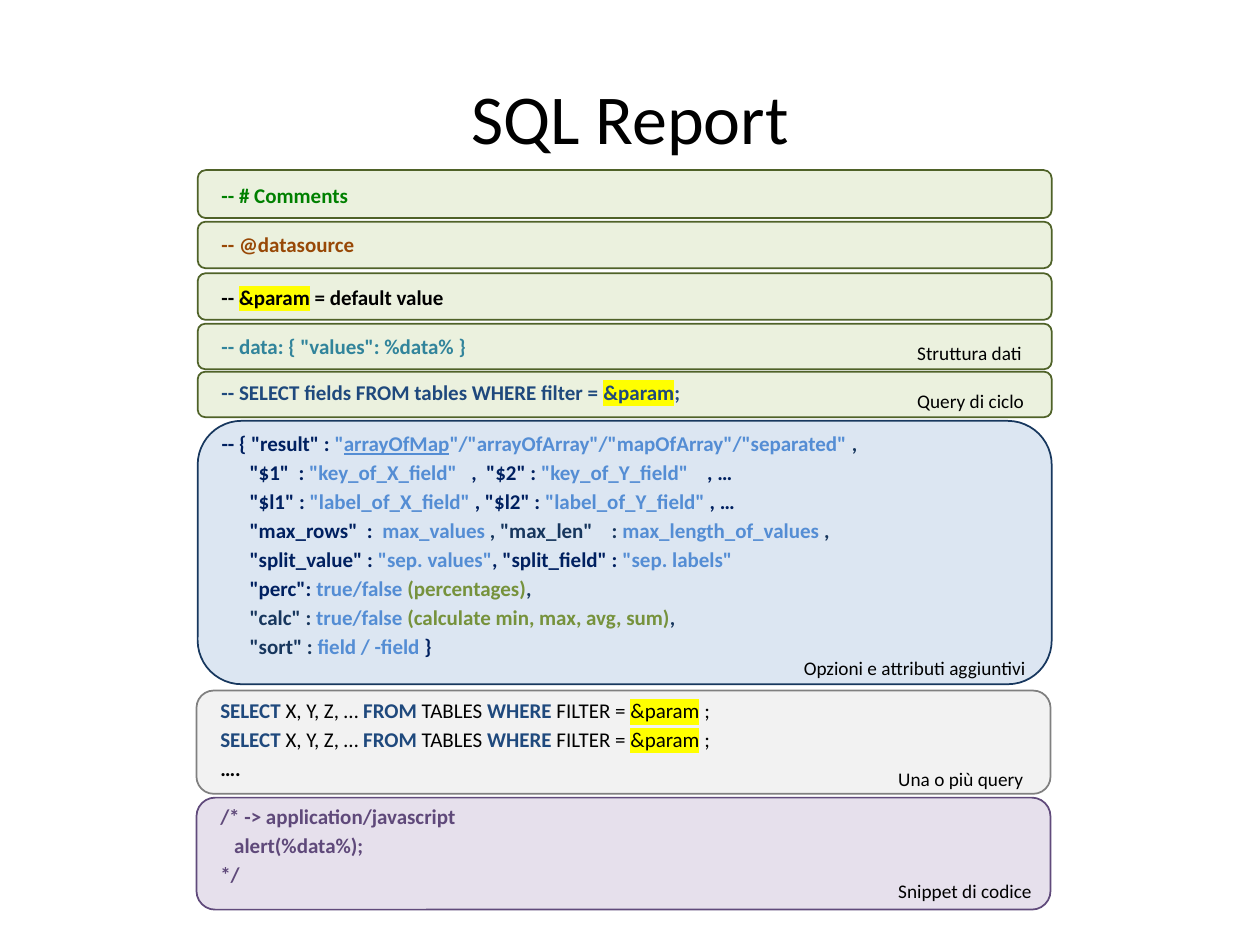
"""Builds the SQL Report slide: stacked code sections with captions."""
from lxml.etree import SubElement
from pptx import Presentation
from pptx.dml.color import RGBColor as RGB
from pptx.enum.shapes import MSO_SHAPE as SHAPE
from pptx.enum.text import MSO_ANCHOR as ANCHOR, PP_ALIGN as ALIGN
from pptx.oxml.ns import qn
from pptx.util import Pt

COLORS = {
    "black": "000000", "yellow": "FFFF00", "green": "008000", "brown": "984806",
    "teal": "31849B", "keyword": "1F497D", "key": "002060", "ink": "17365D",
    "value": "548DD4", "note": "76923C", "snippet": "5F497A",
    "header_fill": "EBF1DE", "header_line": "4F6228",
    "options_fill": "DCE6F2", "options_line": "17375E",
    "query_fill": "F2F2F2", "query_line": "808080",
    "snippet_fill": "E6E0EC", "snippet_line": "604A7B",
}


class Deck:
    """Holds the style and the current slide."""

    font = "Calibri"
    code_size, caption_size = 12, 11
    spacing = 1.15

    def __init__(self, width, height):
        self.prs = Presentation()
        self.prs.slide_width, self.prs.slide_height = Pt(width), Pt(height)
        self.s = self.prs.slides.add_slide(self.prs.slide_layouts[5])

    def color(self, name):
        return RGB.from_string(COLORS[name])

    def run(self, p, text, size, color="black", flags=""):
        r = p.add_run()
        r.text = text
        r.font.size = Pt(size)
        r.font.bold = "b" in flags
        r.font.color.rgb = self.color(color)
        if "u" in flags:
            r.font.underline = True
        if "h" in flags:
            mark = SubElement(r.font._element, qn("a:highlight"))
            SubElement(mark, qn("a:srgbClr"), val=COLORS["yellow"])
        r.font.name = self.font

    def title(self, text, left, top, width, height):
        sp = self.s.shapes.title
        sp.left, sp.top, sp.width, sp.height = map(Pt, (left, top, width, height))
        sp.text_frame.vertical_anchor = ANCHOR.MIDDLE
        p = sp.text_frame.paragraphs[0]
        p.alignment = ALIGN.CENTER
        self.run(p, text, 40)

    def box(self, theme, left, top, width, height):
        sp = self.s.shapes.add_shape(SHAPE.ROUNDED_RECTANGLE, *map(Pt, (left, top, width, height)))
        sp.shadow.inherit = False
        sp.fill.solid()
        sp.fill.fore_color.rgb = self.color(theme + "_fill")
        sp.line.color.rgb = self.color(theme + "_line")
        sp.line.width = Pt(1)

    def text(self, lines, size, left, top, width, height):
        tf = self.s.shapes.add_textbox(*map(Pt, (left, top, width, height))).text_frame
        tf.word_wrap = True
        for i, (indent, runs) in enumerate(lines):
            p = tf.add_paragraph() if i else tf.paragraphs[0]
            p.line_spacing = self.spacing
            if indent:
                p._p.get_or_add_pPr().set("marL", str(Pt(indent)))
            for run in runs:
                self.run(p, run[0], size, *run[1:])

    def code(self, lines, *frame):
        self.text(lines, self.code_size, *frame)

    def caption(self, text, *frame):
        self.text([(0, [(text,)])], self.caption_size, *frame)


def bold(*runs):
    """Returns the (text, colour) pairs as bold runs."""
    return [(text, color, "b") for text, color in runs]


PARAM = "&param"
QUERY = (0, [
    ("SELECT ", "keyword", "b"), ("X, Y, Z, … ",), ("FROM ", "keyword", "b"), ("TABLES",),
    (" WHERE ", "keyword", "b"), ("FILTER = ",), (PARAM, "black", "h"), (" ;",),
])
OPTIONS = [
    (0, [*bold(('-- { "result" : ', "key"), ('"', "value")), ("arrayOfMap", "value", "bu"),
         *bold(('"/"arrayOfArray"/"mapOfArray"/"separated" ', "value"), (",", "ink"))]),
    *((16, bold(*runs)) for runs in (
        [('"$1"  : ', "key"), ('"key_of_X_field"   ', "value"), (',  "$2" : ', "key"),
         ('"key_of_Y_field"    ', "value"), (", …", "key")],
        [('"$l1" : ', "key"), ('"label_of_X_field" ', "value"), (', "$l2" : ', "key"),
         ('"label_of_Y_field" ', "value"), (", …", "key")],
        [('"max_rows"  :  ', "key"), ("max_values ", "value"), (', "max_len"    : ', "ink"),
         ("max_length_of_values ", "value"), (",", "ink")],
        [('"split_value" : ', "key"), ('"sep. values"', "value"), (', "split_field" : ', "key"),
         ('"sep. labels"', "value")],
        [('"perc": ', "key"), ("true/false ", "value"), ("(percentages)", "note"), (",", "ink")],
        [('"calc" : ', "ink"), ("true/false", "value"),
         (" (calculate min, max, avg, sum)", "note"), (",", "ink")],
        [('"sort" : ', "ink"), ("field / -field ", "value"), ("}", "key")],
    )),
]
BOX_LEFT, BOX_WIDTH, TEXT_INSET = 113, 488, 6.5
SECTIONS = [
    ("header", 97.2, 27.4, (98.6, 238, 24.5), [(0, bold(("-- # Comments", "green")))]),
    ("header", 126.7, 26.6, (126.7, 238, 28), [(0, bold(("-- @datasource", "brown")))]),
    ("header", 156.2, 26.6, (157, 238, 23),
     [(0, [("-- ", "black", "b"), (PARAM, "black", "bh"), (" = default value", "black", "b")])]),
    ("header", 185, 26, (185, 238, 26),
     [(0, bold(('-- data: { "values": %data% }', "teal")))]),
    ("header", 212.4, 26, (211, 302, 28),
     [(0, [("-- SELECT fields FROM tables WHERE filter = ", "keyword", "b"),
           (PARAM, "keyword", "bh"), (";", "keyword", "b")])]),
    ("options", 240.5, 150.5, (240.5, 397.5, 150.5), OPTIONS),
    ("query", 394.6, 59, (393.1, 329, 60.5), [QUERY, QUERY, (0, bold(("….", "black")))]),
    ("snippet", 455.8, 64, (453.6, 235, 60.5),
     [(0, bold(("/* -> application/javascript", "snippet"))),
      (8, bold(("alert(%data%);", "snippet"))), (0, bold(("*/", "snippet")))]),
]
CAPTIONS = [
    ("Struttura dati", 517, 189.4, 84, 22.5),
    ("Query di ciclo", 517, 216.7, 80, 25),
    ("Opzioni e attributi aggiuntivi", 452.2, 369.4, 148.5, 24),
    ("Una o più query", 506.2, 432.7, 91, 24.5),
    ("Snippet di codice", 506.2, 496.8, 99.5, 22.5),
]


def main():
    """Draws the slide and saves it."""
    deck = Deck(720, 540)
    deck.title("SQL Report", 36, 21.6, 648, 90)
    for theme, top, height, (text_top, text_width, text_height), lines in SECTIONS:
        left = BOX_LEFT - (theme in ("query", "snippet")) * 0.7
        deck.box(theme, left, top, BOX_WIDTH, height)
        deck.code(lines, left + TEXT_INSET, text_top, text_width, text_height)
    for caption in CAPTIONS:
        deck.caption(*caption)
    deck.prs.save("out.pptx")


if __name__ == "__main__":
    main()
